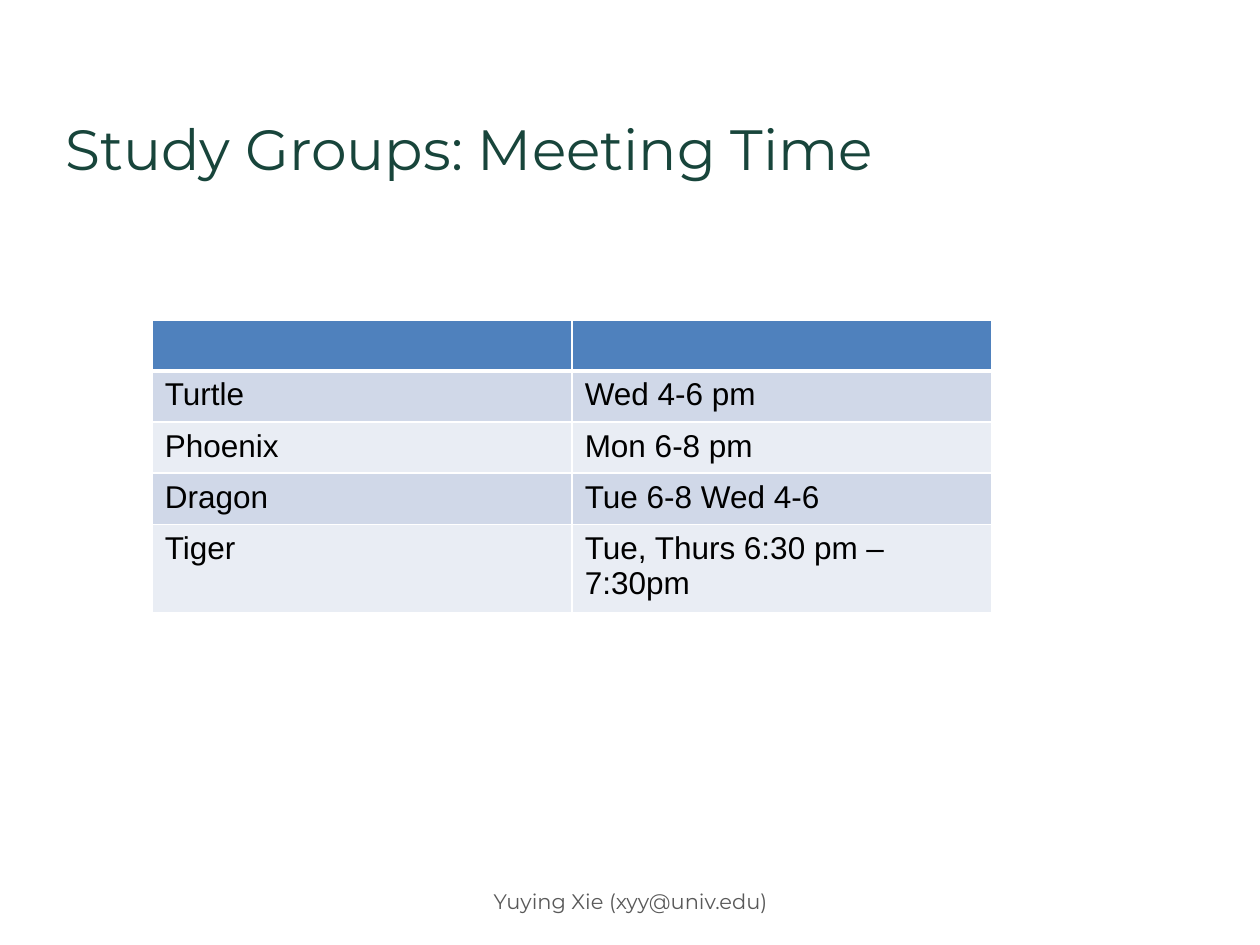
from lxml.etree import SubElement
from pptx import Presentation
from pptx.dml.color import RGBColor
from pptx.enum.text import MSO_ANCHOR, PP_ALIGN
from pptx.oxml.ns import qn
from pptx.util import Cm, Pt

HEAD = "4F81BD"
BANDS = ["D0D8E8", "E9EDF4"]
ROWS = [
    ("", ""),
    ("Turtle", "Wed 4-6 pm"),
    ("Phoenix", "Mon 6-8 pm"),
    ("Dragon", "Tue 6-8 Wed 4-6"),
    ("Tiger", "Tue, Thurs 6:30 pm – 7:30pm"),
]


def color(code):
    return RGBColor.from_string(code)


def style(item, form):
    for key, value in form.items():
        setattr(item, key, value)


def write(frame, text, face, size, ink, align=PP_ALIGN.LEFT):
    para = frame.paragraphs[0]
    para.alignment = align
    run = para.add_run()
    run.text = text
    style(run.font, {"name": face, "size": Pt(size)})
    run.font.color.rgb = color(ink)


def label(slide, box, form, *words):
    frame = slide.shapes.add_textbox(*map(Cm, box)).text_frame
    style(frame, {"word_wrap": True, **form})
    write(frame, *words)


def title(slide, box):
    label(slide, box, {"margin_top": Cm(0.17)},
          "Study Groups: Meeting Time", "Montserrat", 32.4, "18453B")


def footer(slide, box):
    label(slide, box, {"vertical_anchor": MSO_ANCHOR.MIDDLE},
          "Yuying Xie (xyy@univ.edu)", "Montserrat", 12, "595959",
          PP_ALIGN.CENTER)


def border(cell, top, base):
    props = cell._tc.get_or_add_tcPr()
    for side, width in zip("LRTB", (1, 1, top, base)):
        line = SubElement(props, qn(f"a:ln{side}"), w=str(Pt(width)))
        fill = SubElement(line, qn("a:solidFill"))
        SubElement(fill, qn("a:srgbClr"), val="FFFFFF")


def times(slide, box):
    table = slide.shapes.add_table(len(ROWS), 2, *map(Cm, box)).table
    for col in table.columns:
        col.width = Cm(box[2] / 2)
    for i, texts in enumerate(ROWS):
        table.rows[i].height = Cm(box[3] / len(ROWS))
        for j, text in enumerate(texts):
            cell = table.cell(i, j)
            border(cell, 3 if i == 1 else 1, 3 if i == 0 else 1)
            cell.fill.solid()
            shade = BANDS[(i - 1) % 2] if i else HEAD
            cell.fill.fore_color.rgb = color(shade)
            if text:
                write(cell.text_frame, text, "Arial", 18, "000000")


def main():
    deck = Presentation()
    style(deck, {"slide_width": Cm(25.4), "slide_height": Cm(19.05)})
    slide = deck.slides.add_slide(deck.slide_layouts[6])
    title(slide, (1.07, 2.13, 22.86, 1.35))
    footer(slide, (8.69, 17.65, 8.05, 1.02))
    times(slide, (3.07, 6.45, 16.93, 5.15))
    deck.save("out.pptx")


if __name__ == "__main__":
    main()
